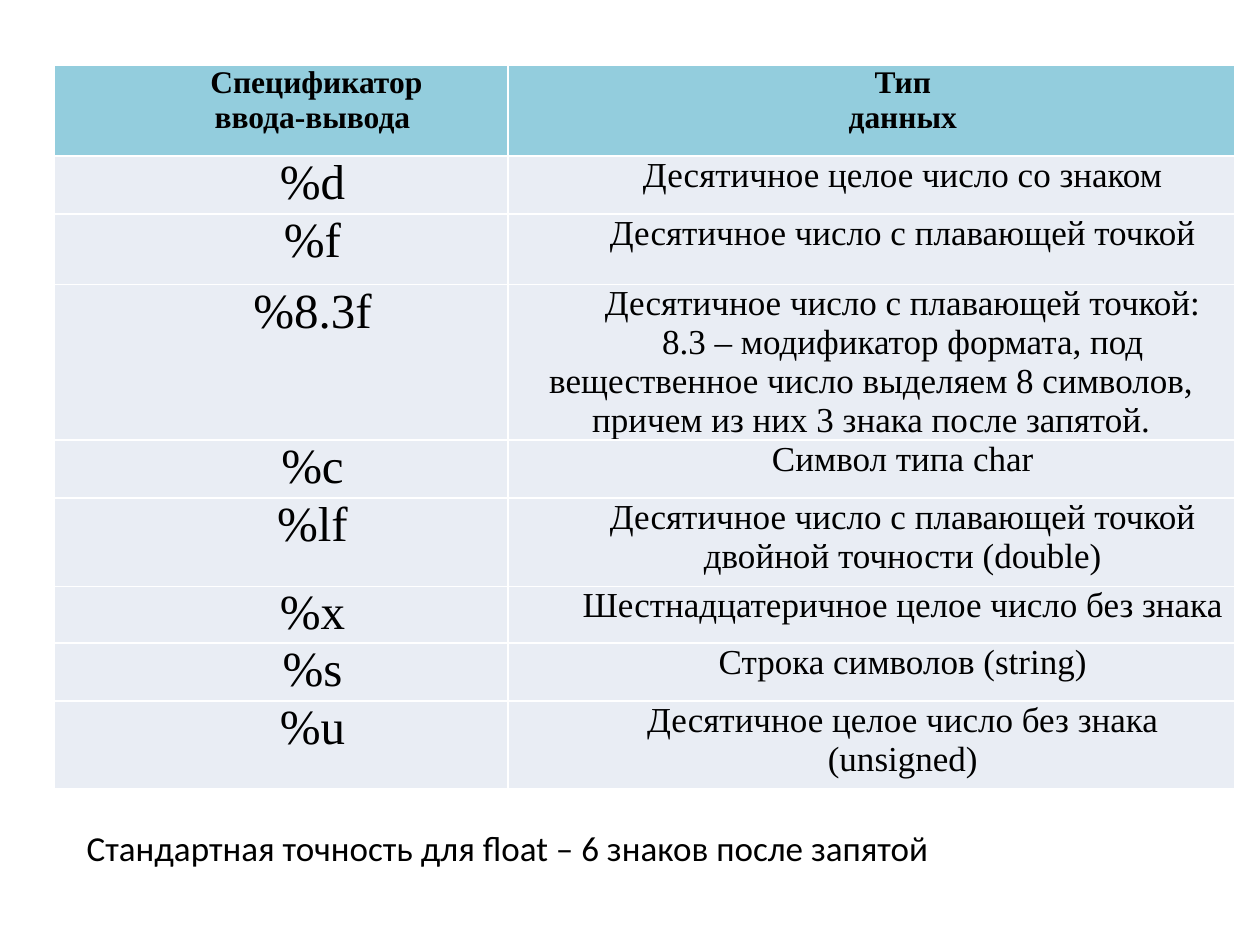
import pptx
import pptx.util
import pptx.dml.color
import pptx.enum.text
import pptx.oxml
import pptx.oxml.ns

HEADER = (["\u00a0Спецификатор".replace("\u00a0", " "), "ввода-вывода"], ["Тип", "данных"])
SPECIFIERS = [
    (0.46, "%d", ["Десятичное целое число со знаком"]),
    (0.56, "%f", ["Десятичное число с плавающей точкой"]),
    (0.92, "%8.3f", [
        "Десятичное число с плавающей точкой:",
        "8.3 – модификатор формата, под вещественное число выделяем 8 символов, "
        "причем из них 3 знака после запятой.",
    ]),
    (0.46, "%c", ["Символ типа char"]),
    (0.70, "%lf", ["Десятичное число с плавающей точкой", "двойной точности (double)"]),
    (0.45, "%x", ["Шестнадцатеричное целое число без знака"]),
    (0.46, "%s", ["Строка символов (string)"]),
    (0.70, "%u", ["Десятичное целое число без знака", "(unsigned)"]),
]
CAPTION = "Стандартная точность для float – 6 знаков после запятой"

THEME = {
    "ink": "000000", "header": "93CDDD", "body": "E9EDF4", "border": "FFFFFF",
    "table_font": "Times New Roman", "caption_font": "Calibri",
    "header_size": 18, "code_size": 28, "text_size": 20,
}
SLIDE = (10, 7.5)
TABLE_AT = (0.43, 0.52)
COLUMNS = (3.6, 5.77)
HEADER_HEIGHT = 0.72
CAPTION_AT = (0.59, 6.51, 7.56, 0.44)
INDENT = 0.5
CELL_FORMAT = {"margin_left": 0.07, "margin_right": 0.07, "margin_top": 0, "margin_bottom": 0}

inches = pptx.util.Inches


def colour(name):
    return pptx.dml.color.RGBColor.from_string(THEME[name])


def write(para, text, font, size, bold=False):
    span = para.add_run()
    span.text = text
    values = {"name": THEME[font], "size": pptx.util.Pt(THEME[size]), "bold": bold}
    for key, value in values.items():
        setattr(span.font, key, value)
    span.font.color.rgb = colour("ink")


def add_borders(cell):
    properties = cell._tc.get_or_add_tcPr()
    for side in ("lnL", "lnR", "lnT", "lnB"):
        properties.append(pptx.oxml.parse_xml(
            f'<a:{side} {pptx.oxml.ns.nsdecls("a")} w="{pptx.util.Pt(1)}"><a:solidFill>'
            f'<a:srgbClr val="{THEME["border"]}"/></a:solidFill></a:{side}>'))


def fill_cell(cell, lines, fill, size, bold):
    for key, value in CELL_FORMAT.items():
        setattr(cell, key, inches(value))
    add_borders(cell)
    cell.fill.solid()
    cell.fill.fore_color.rgb = colour(fill)
    for index, line in enumerate(lines):
        box = cell.text_frame
        para = box.add_paragraph() if index else box.paragraphs[0]
        para.alignment = pptx.enum.text.PP_ALIGN.CENTER
        settings = para._p.get_or_add_pPr()
        settings.set("marL", "0")
        settings.set("indent", str(inches(INDENT)))
        write(para, line, "table_font", size, bold)


def add_specifier_table(page):
    heights = [HEADER_HEIGHT] + [height for height, code, meaning in SPECIFIERS]
    table = page.shapes.add_table(
        len(heights), len(COLUMNS), *map(inches, TABLE_AT),
        inches(sum(COLUMNS)), inches(sum(heights))).table
    for column, width in zip(table.columns, COLUMNS):
        column.width = inches(width)
    for row, height in zip(table.rows, heights):
        row.height = inches(height)
    for column, lines in enumerate(HEADER):
        fill_cell(table.cell(0, column), lines, "header", "header_size", True)
    for row, (height, code, meaning) in enumerate(SPECIFIERS, 1):
        fill_cell(table.cell(row, 0), [code], "body", "code_size", False)
        fill_cell(table.cell(row, 1), meaning, "body", "text_size", False)


def add_caption(page):
    box = page.shapes.add_textbox(*map(inches, CAPTION_AT)).text_frame
    box.word_wrap = True
    box.auto_size = pptx.enum.text.MSO_AUTO_SIZE.SHAPE_TO_FIT_TEXT
    write(box.paragraphs[0], CAPTION, "caption_font", "text_size")


def main():
    deck = pptx.Presentation()
    deck.slide_width, deck.slide_height = map(inches, SLIDE)
    page = deck.slides.add_slide(deck.slide_layouts[6])
    add_specifier_table(page)
    add_caption(page)
    deck.save("out.pptx")


if __name__ == "__main__":
    main()
